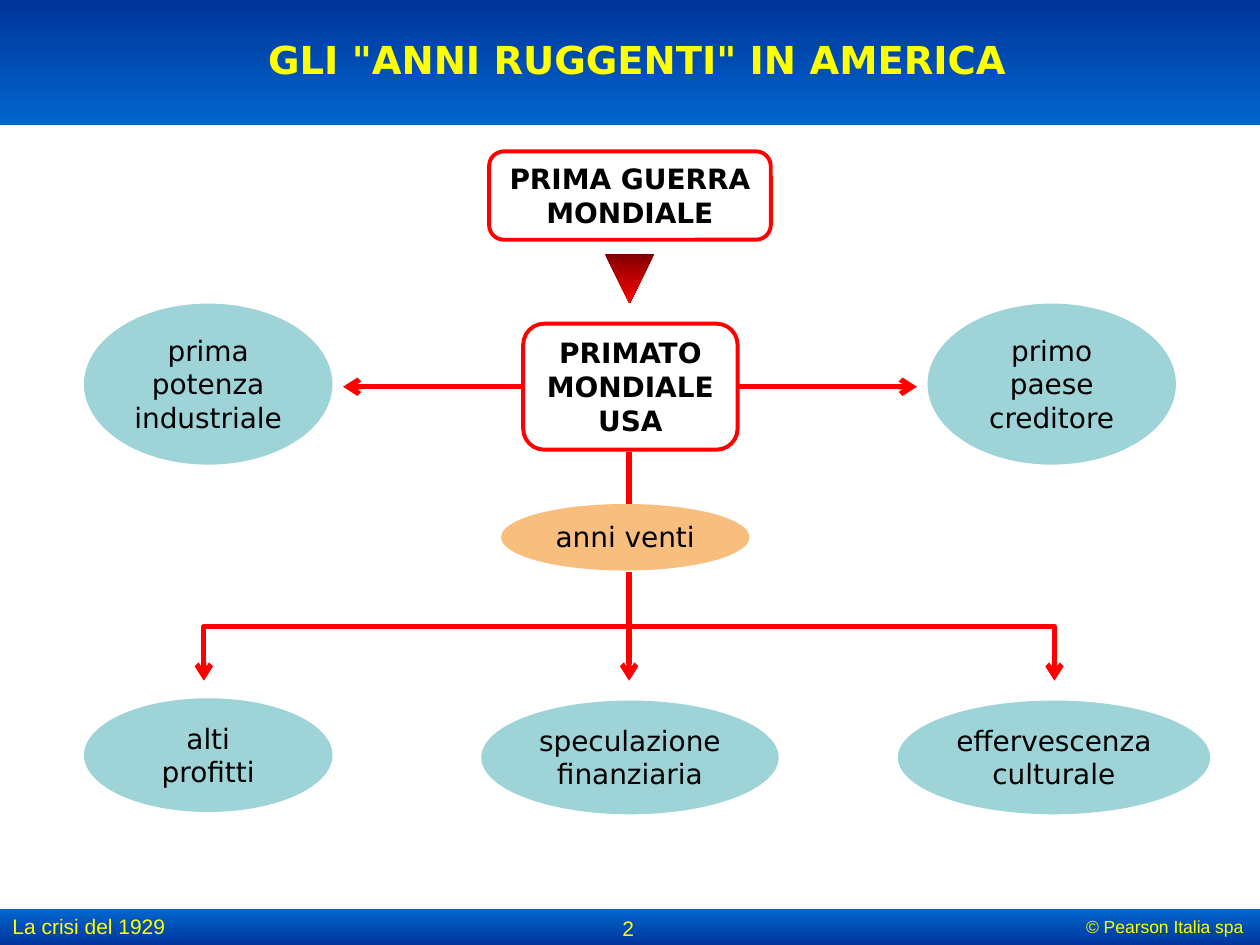
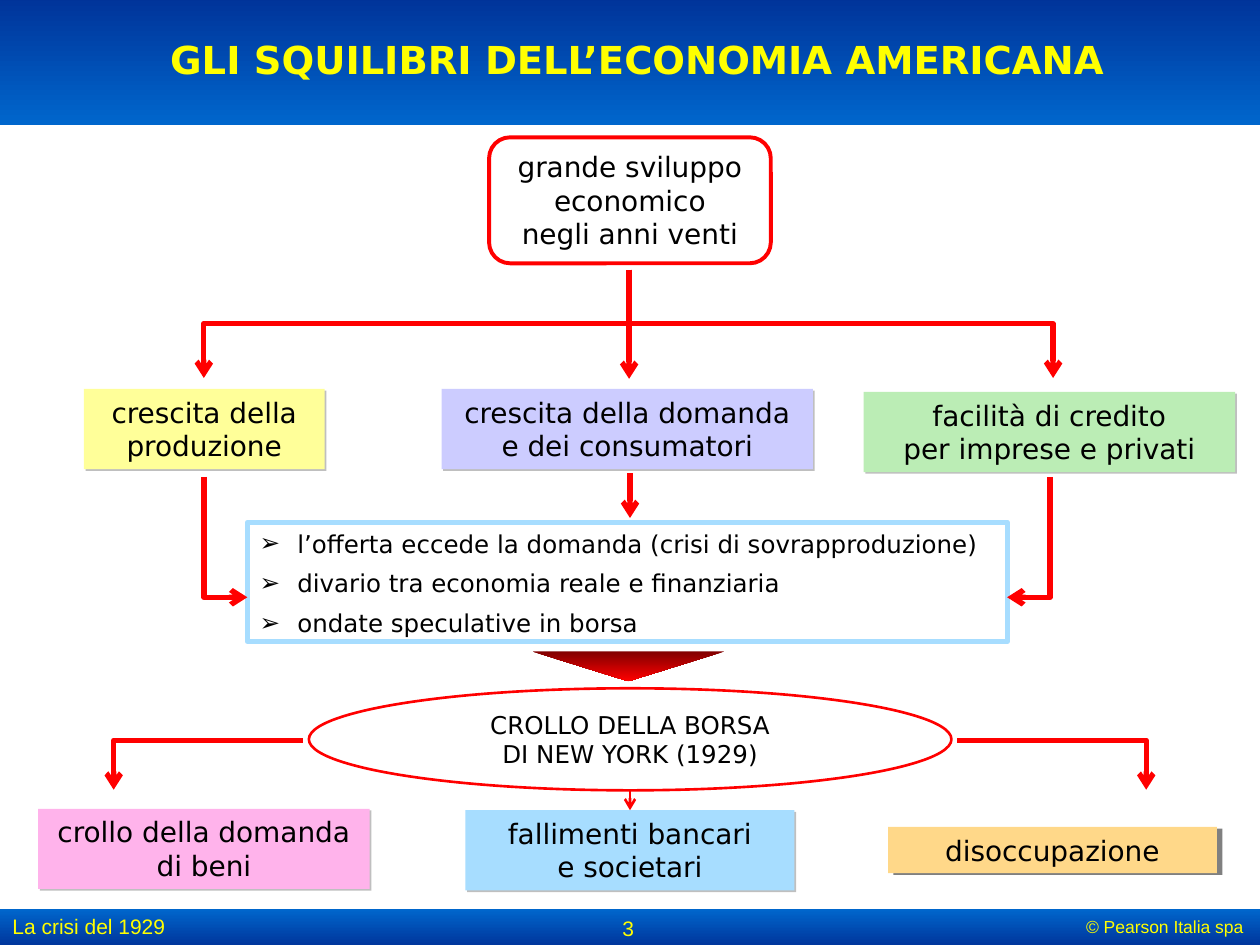
import dataclasses

import pptx
import pptx.dml.color
import pptx.enum.dml
import pptx.enum.shapes
import pptx.enum.text
import pptx.oxml
import pptx.oxml.ns
import pptx.util

Pt = pptx.util.Pt
RGB = pptx.dml.color.RGBColor.from_string
SHAPE = pptx.enum.shapes.MSO_SHAPE
CONNECTOR = pptx.enum.shapes.MSO_CONNECTOR
ALIGN = pptx.enum.text.PP_ALIGN
ANCHOR = pptx.enum.text.MSO_ANCHOR
qn = pptx.oxml.ns.qn
NS = pptx.oxml.ns.nsdecls("a")


@dataclasses.dataclass(frozen=True)
class Theme:
    navy: str = "003399"
    blue: str = "0066CC"
    yellow: str = "FFFF00"
    black: str = "000000"
    red: str = "FF0000"
    dark_red: str = "800000"
    teal: str = "9ED3D7"
    orange: str = "F8BE7E"
    pale_yellow: str = "FFFF99"
    lilac: str = "CCCCFF"
    green: str = "BBEDB5"
    pink: str = "FFB3EB"
    sky: str = "A7DDFF"
    sand: str = "FFD889"
    shadow: str = "808080"
    body_font: str = "DejaVu Sans"
    footer_font: str = "Arial"
    title_size: float = 22
    body_size: float = 16
    detail_size: float = 14
    footer_size: float = 12
    credit_size: float = 10


theme = Theme()


def add_block(slide, kind, frame, text="", fill=None, line=None, weight=2.25,
              size=theme.body_size, color=theme.black, font=theme.body_font,
              bold=False, align=ALIGN.CENTER, anchor=ANCHOR.TOP):
    """Add a shape, or a text box if kind is None; a pair as fill is a gradient."""
    frame = [Pt(value) for value in frame]
    if kind is None:
        block = slide.shapes.add_textbox(*frame)
    else:
        block = slide.shapes.add_shape(kind, *frame)
        block.shadow.inherit = False
        if isinstance(fill, tuple):
            block.fill.gradient()
            block.fill.gradient_angle = 270
            for stop, shade in zip(block.fill.gradient_stops, fill):
                stop.color.rgb = RGB(shade)
        elif fill:
            block.fill.solid()
            block.fill.fore_color.rgb = RGB(fill)
        else:
            block.fill.background()
        if line:
            block.line.color.rgb = RGB(line)
            block.line.width = Pt(weight)
        else:
            block.line.fill.background()
    block.text_frame.word_wrap = True
    block.text_frame.vertical_anchor = anchor
    paragraph = block.text_frame.paragraphs[0]
    paragraph.alignment = align
    for number, words in enumerate(text.split("\n") if text else []):
        if number:
            paragraph.add_line_break()
        run = paragraph.add_run()
        run.text = words
        run.font.name, run.font.size, run.font.bold = font, Pt(size), bold
        run.font.color.rgb = RGB(color)
    return block


def connect(slide, start, end, route="line", weight=3, head=True):
    """Join two points: a line, a "fork" or "drop" (down first) or a "side" (across first)."""
    (x1, y1), (x2, y2) = start, end
    kind = CONNECTOR.STRAIGHT if route == "line" else CONNECTOR.ELBOW
    link = slide.shapes.add_connector(kind, Pt(x1), Pt(y1), Pt(x2), Pt(y2))
    link.line.color.rgb = RGB(theme.red)
    link.line.width = Pt(weight)
    properties = link._element.spPr
    if route in ("drop", "side"):
        properties.find(qn("a:prstGeom")).set("prst", "bentConnector2")
    if route in ("fork", "drop"):
        # A connector that leaves downwards is a turned one with its sides swapped
        across, down = abs(x2 - x1), y2 - y1
        link.left = Pt((x1 + x2 - down) / 2)
        link.top = Pt((y1 + y2 - across) / 2)
        link.width, link.height = Pt(down), Pt(across)
        turn = properties.find(qn("a:xfrm"))
        turn.set("rot", str((90 if x2 < x1 else 270) * 60000))
        turn.set("flipH", "0" if x2 < x1 else "1")
    if head:
        link.line._get_or_add_ln().append(
            pptx.oxml.parse_xml(f'<a:tailEnd {NS} type="arrow"/>'))
    properties.append(pptx.oxml.parse_xml(f"<a:effectLst {NS}/>"))


deck = pptx.Presentation()
deck.slide_width, deck.slide_height = Pt(720), Pt(540)

# Bands, footer and title on every slide
slides = []
for page, title in enumerate(['GLI "ANNI RUGGENTI" IN AMERICA',
                              "GLI SQUILIBRI DELL’ECONOMIA AMERICANA"], start=2):
    slide = deck.slides.add_slide(deck.slide_layouts[6])
    slides.append(slide)
    add_block(slide, SHAPE.RECTANGLE, (0, 519.5, 720, 22), fill=(theme.blue, theme.navy))
    add_block(slide, SHAPE.RECTANGLE, (0, -2, 720, 73.5), fill=(theme.navy, theme.blue))
    for frame, words, size, align in [
        ((549.5, 519.8, 168, 21), "© Pearson Italia spa", theme.credit_size, ALIGN.RIGHT),
        ((0, 518.5, 228, 21), "La crisi del 1929", theme.footer_size, ALIGN.LEFT),
        ((275, 519.5, 168, 21), str(page), theme.footer_size, ALIGN.CENTER),
    ]:
        add_block(slide, None, frame, words, size=size, color=theme.yellow,
                  font=theme.footer_font, align=align)
    add_block(slide, None, (4, 17, 720, 34), title, size=theme.title_size,
              color=theme.yellow, bold=True)
roaring, imbalances = slides

axis = 359.5
left_branch, right_branch = 116.5, 602.5

# Slide 2: from the war to American primacy
for branch in (left_branch, right_branch):
    connect(roaring, (axis, 327), (branch, 389), "fork")
add_block(roaring, SHAPE.ROUNDED_RECTANGLE, (279.5, 86.5, 161, 50.5),
          "PRIMA GUERRA MONDIALE", line=theme.red, bold=True)
add_block(roaring, SHAPE.FLOWCHART_MERGE, (345.8, 145.3, 28, 28),
          fill=(theme.dark_red, theme.red))
add_block(roaring, SHAPE.ROUNDED_RECTANGLE, (299, 185, 122.5, 72),
          "PRIMATO MONDIALE USA", line=theme.red, bold=True)
connect(roaring, (299, 221), (196, 221))
connect(roaring, (421.5, 221), (524, 221))
connect(roaring, (axis, 258.5), (axis, 288), head=False)
connect(roaring, (axis, 355), (axis, 389))

# Slide 2: features of the primacy and of the twenties
for frame, words, fill in [
    ((48, 173.5, 142, 92), "prima potenza industriale", theme.teal),
    ((530, 173.5, 142, 92), "primo paese creditore", theme.teal),
    ((286.3, 288, 142, 38), "anni venti", theme.orange),
    ((48, 399, 142, 65), "alti\nprofitti", theme.teal),
    ((275, 400.3, 170, 65), "speculazione finanziaria", theme.teal),
    ((513, 400.3, 178.5, 65), "effervescenza culturale", theme.teal),
]:
    add_block(roaring, SHAPE.OVAL, frame, words, fill)

# Slide 3: growth and its three branches
add_block(imbalances, SHAPE.ROUNDED_RECTANGLE, (279.5, 78.5, 161, 72),
          "grande sviluppo economico\nnegli anni venti", line=theme.red)
for branch in (left_branch, right_branch - 0.7):
    connect(imbalances, (axis, 154), (branch, 216), "fork")
connect(imbalances, (axis, 182), (axis, 216.5))

# Slide 3: coloured boxes with their shadows (distance, angle, opacity)
soft, hard = (1.4, 45, 50), (3.2, 18, 100)
for frame, words, fill, (distance, angle, opacity) in [
    ((48, 222.3, 137.5, 45.8), "crescita della produzione", theme.pale_yellow, soft),
    ((252.3, 222.3, 212.3, 45.8), "crescita della domanda e dei consumatori", theme.lilac, soft),
    ((493.5, 224, 212.3, 45.8), "facilità di credito\nper imprese e privati",
     theme.green, soft),
    ((21.8, 462.2, 189.5, 45.8), "crollo della domanda\ndi beni", theme.pink, soft),
    ((266, 463, 188, 45.8), "fallimenti bancari\ne societari", theme.sky, soft),
    ((507.5, 472.5, 188, 26.5), "disoccupazione", theme.sand, hard),
]:
    box = add_block(imbalances, SHAPE.RECTANGLE, frame, words, fill)
    box._element.spPr.find(qn("a:effectLst")).append(pptx.oxml.parse_xml(
        f'<a:outerShdw {NS} blurRad="0" dist="{Pt(distance)}" dir="{angle * 60000}" '
        f'algn="ctr" rotWithShape="0"><a:srgbClr val="{theme.shadow}">'
        f'<a:alpha val="{opacity * 1000}"/></a:srgbClr></a:outerShdw>'))

# Slide 3: causes of the crash
causes = add_block(imbalances, SHAPE.RECTANGLE, (141.3, 298.5, 434.3, 68),
                   line=theme.sky, weight=3)
for number, cause in enumerate(["l’offerta eccede la domanda (crisi di sovrapproduzione)",
                                "divario tra economia reale e finanziaria",
                                "ondate speculative in borsa"]):
    frame = causes.text_frame
    paragraph = frame.add_paragraph() if number else frame.paragraphs[0]
    paragraph.alignment = ALIGN.LEFT
    if number:
        paragraph.space_before = Pt(6)
    layout = paragraph._p.get_or_add_pPr()
    layout.set("marL", str(Pt(21.5)))
    layout.set("indent", str(-Pt(21.5)))
    for bullet in (f'<a:buClr {NS}><a:srgbClr val="{theme.black}"/></a:buClr>',
                   f'<a:buFont {NS} typeface="{theme.body_font}"/>',
                   f'<a:buChar {NS} char="➢"/>'):
        layout.append(pptx.oxml.parse_xml(bullet))
    run = paragraph.add_run()
    run.text = cause
    run.font.name, run.font.size = theme.body_font, Pt(theme.detail_size)
    run.font.color.rgb = RGB(theme.black)
connect(imbalances, (360, 270.5), (360, 296))
connect(imbalances, (116.5, 272.5), (141.3, 341.3), "drop")
connect(imbalances, (600, 272.5), (575.5, 341.3), "drop")

# Slide 3: the crash and its effects
add_block(imbalances, SHAPE.FLOWCHART_MERGE, (304.3, 372.3, 109.5, 17),
          fill=(theme.dark_red, theme.red))
add_block(imbalances, SHAPE.OVAL, (176.5, 393.3, 367.2, 58.3),
          "CROLLO DELLA BORSA\nDI NEW YORK (1929)", line=theme.red, weight=1.5,
          size=theme.detail_size, anchor=ANCHOR.MIDDLE)
connect(imbalances, (173, 423), (65, 451.3), "side")
connect(imbalances, (547, 423), (655, 451.3), "side")
connect(imbalances, (360, 451.5), (360, 463), weight=1.5)

deck.save("out.pptx")
